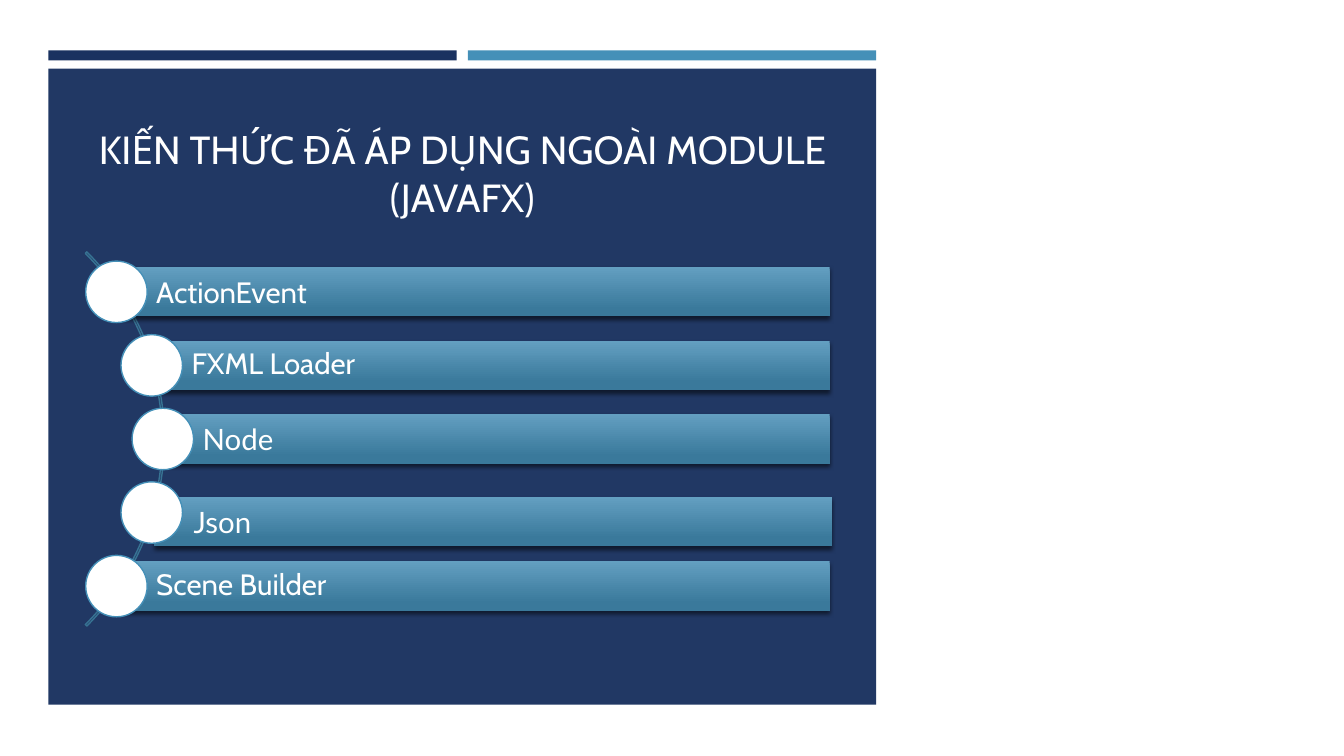
from dataclasses import dataclass

from lxml import etree
from pptx import Presentation
from pptx.dml.color import RGBColor
from pptx.enum.shapes import MSO_SHAPE
from pptx.enum.text import MSO_ANCHOR, PP_ALIGN
from pptx.oxml.ns import qn
from pptx.util import Pt

RECTANGLE = MSO_SHAPE.RECTANGLE
OVAL = MSO_SHAPE.OVAL
BLOCK_ARC = MSO_SHAPE.BLOCK_ARC
MIDDLE = MSO_ANCHOR.MIDDLE
LEFT = PP_ALIGN.LEFT
CENTER = PP_ALIGN.CENTER
EMU_PER_PX = 9144
BLANK_LAYOUT = 6


@dataclass(frozen=True)
class Theme:
    """Colours, fonts and type sizes of the slide."""
    white: str = "FFFFFF"
    navy: str = "1A3260"
    blue: str = "4590B8"
    arc: str = "377393"
    shadow: str = "000000"
    gradient: tuple = ((0, "639FC1"), (0.84, "3A799B"))
    font: str = "Cabin"
    alternate_font: str = "Lato"
    title_size: int = 28
    label_size: int = 21


def px(length):
    """Turn px into EMU."""
    return length * EMU_PER_PX


def apply(target, values):
    """Set attributes from a dict of format values."""
    for name, value in values.items():
        setattr(target, name, value)


class SlideBuilder:
    """Draws styled elements on the current slide."""

    def __init__(self, slide, theme):
        """Keep the slide and its style."""
        self.slide = slide
        self.theme = theme

    def shape(self, kind, box, fill=None, line=None, alpha=None):
        """Add a preset shape with an optional fill and outline."""
        shape = self.slide.shapes.add_shape(kind, *map(px, box))
        shape.shadow.inherit = False
        if fill:
            shape.fill.solid()
            shape.fill.fore_color.rgb = RGBColor.from_string(fill)
        else:
            shape.fill.background()
        if line:
            shape.line.color.rgb = RGBColor.from_string(line)
            shape.line.width = Pt(1)
        else:
            shape.line.fill.background()
        if alpha:
            color = shape._element.spPr.find(f"{qn('a:solidFill')}/{qn('a:srgbClr')}")
            etree.SubElement(color, qn("a:alpha"), val=str(alpha * 1000))
        return shape

    def arc(self, box, adjustments):
        """Add the thin arc that links the circles."""
        shape = self.shape(BLOCK_ARC, box, line=self.theme.arc)
        for index, value in enumerate(adjustments):
            shape.adjustments[index] = value

    def label(self, shape, text, size, font, align, insets, spacing=1.0):
        """Put one styled paragraph into a shape."""
        frame = shape.text_frame
        sides = ("margin_left", "margin_top", "margin_right", "margin_bottom")
        apply(frame, {"text": text, "word_wrap": True, "vertical_anchor": MIDDLE})
        apply(frame, dict(zip(sides, map(px, insets))))
        paragraph = frame.paragraphs[0]
        apply(paragraph, {"alignment": align, "line_spacing": spacing})
        for run in paragraph.runs:
            apply(run.font, {"size": Pt(size), "name": font})
            run.font.color.rgb = RGBColor.from_string(self.theme.white)

    def title(self, box, text):
        """Add the centred slide title."""
        shape = self.slide.shapes.add_textbox(*map(px, box))
        self.label(shape, text, self.theme.title_size, self.theme.font,
                   CENTER, (10, 5, 10, 5))

    def bar(self, box, text, font, spacing):
        """Add a gradient bar with a shadow and a label."""
        shape = self.shape(RECTANGLE, box)
        shape.fill.gradient()
        shape.fill.gradient_angle = 270
        for stop, (position, color) in zip(shape.fill.gradient_stops, self.theme.gradient):
            stop.position = position
            stop.color.rgb = RGBColor.from_string(color)
        effects = shape._element.spPr.find(qn("a:effectLst"))
        shadow = etree.SubElement(
            effects, qn("a:outerShdw"), blurRad=str(Pt(3)), dist=str(Pt(2)),
            dir="5400000", algn="ctr", rotWithShape="0")
        color = etree.SubElement(shadow, qn("a:srgbClr"), val=self.theme.shadow)
        etree.SubElement(color, qn("a:alpha"), val="55000")
        self.label(shape, text, self.theme.label_size, font, LEFT, (39, 6, 6, 6), spacing)

    def circle(self, left, top, diameter):
        """Add an outlined white circle."""
        self.shape(OVAL, (left, top, diameter, diameter), self.theme.white, self.theme.blue)


def main():
    """Build and save the slide."""
    theme = Theme()
    presentation = Presentation()
    apply(presentation, {"slide_width": px(1333), "slide_height": px(750)})
    slide = presentation.slides.add_slide(presentation.slide_layouts[BLANK_LAYOUT])
    builder = SlideBuilder(slide, theme)

    builder.shape(RECTANGLE, (0, 0, 1333, 750), theme.white)
    builder.shape(RECTANGLE, (48, 68, 821, 631), theme.navy, alpha=97)
    for left, color in ((48, theme.navy), (464, theme.blue)):
        builder.shape(RECTANGLE, (left, 50, 405, 10), color)
    builder.title((64, 110, 789, 123), "KIẾN THỨC ĐÃ ÁP DỤNG NGOÀI MODULE\v(JAVAFX)")

    builder.arc((-362, 173, 525, 525), (189, 27, 0.004))
    first_top, pitch, diameter = 259, 73, 61
    bar_right, bar_height = 823, 49
    topics = (
        ("ActionEvent", 85, theme.font, 1.0, (0, 0)),
        ("FXML Loader", 120, theme.font, 0.9, (0, 0)),
        ("Node", 131, theme.alternate_font, 1.0, (0, 0)),
        ("Json", 120, theme.alternate_font, 1.0, (2, 9)),
        ("Scene Builder", 85, theme.font, 0.9, (0, 0)),
    )
    for index, (topic, left, font, spacing, (shift_x, shift_y)) in enumerate(topics):
        top = first_top + index * pitch
        bar_left = left + diameter // 2 + 1
        bar_top = top + (diameter - bar_height) // 2
        builder.bar((bar_left + shift_x, bar_top + shift_y, bar_right - bar_left, bar_height),
                    topic, font, spacing)
        builder.circle(left, top, diameter)

    presentation.save("out.pptx")


if __name__ == "__main__":
    main()
